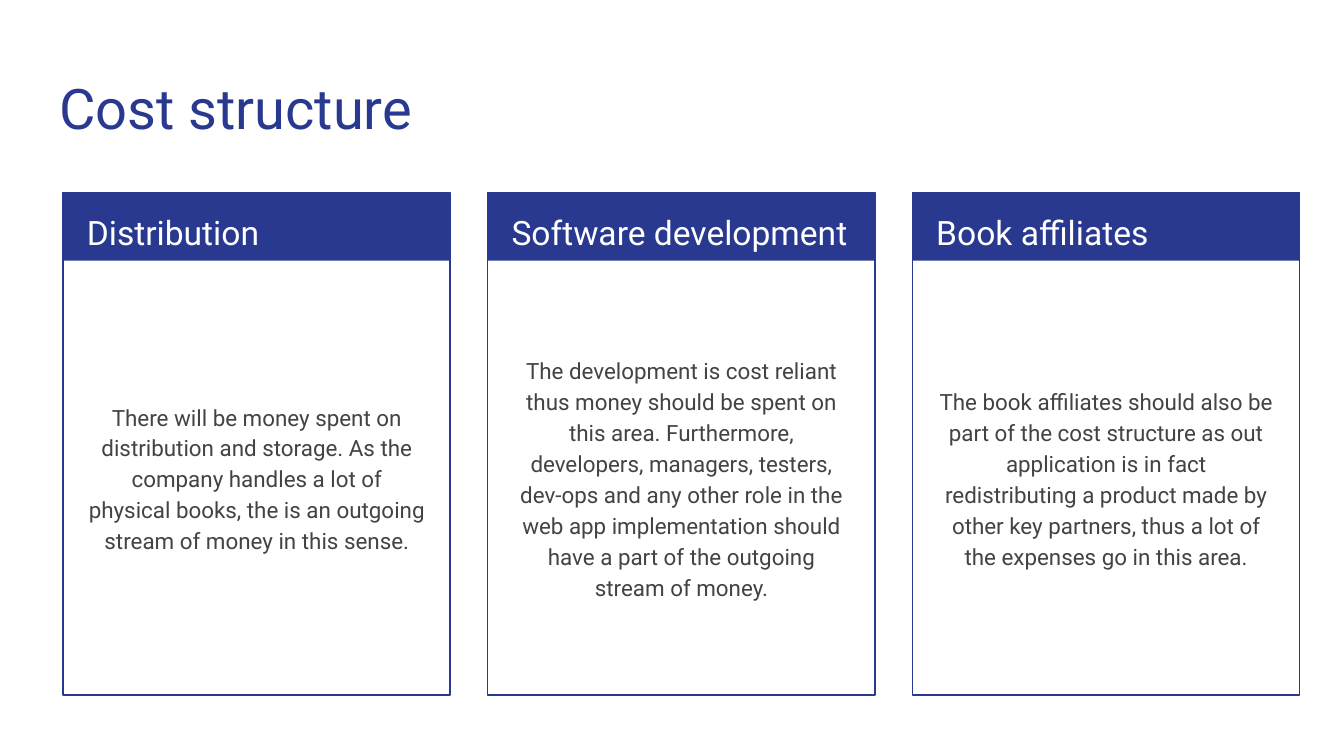
from pptx import Presentation
from pptx.dml.color import RGBColor
from pptx.enum.shapes import MSO_SHAPE as Shape
from pptx.enum.text import MSO_ANCHOR as Anchor, MSO_AUTO_SIZE as AutoSize, PP_ALIGN as Align
from pptx.util import Pt

NAVY, WHITE, GREY = "2A3990", "FFFFFF", "434343"
TITLE_ONLY = 5
FIRST_LEFT, TOP, PITCH = 33.8, 103, 227.5
CARD_WIDTH, CARD_HEIGHT, HEADER_HEIGHT = 207.4, 269.3, 36.7

CARDS = [
    ("Distribution",
     "There will be money spent on distribution and storage. As the company handles a lot of "
     "physical books, the is an outgoing stream of money in this sense."),
    ("Software development",
     "The development is cost reliant thus money should be spent on this area. Furthermore, "
     "developers, managers, testers, dev-ops and any other role in the web app implementation "
     "should have a part of the outgoing stream of money."),
    ("Book affiliates",
     "The book affiliates should also be part of the cost structure as out application is in "
     "fact redistributing a product made by other key partners, thus a lot of the expenses go "
     "in this area."),
]


def color(value):
    return RGBColor.from_string(value)


class SlideBuilder:
    font = "Roboto"
    inset = 7.2

    def __init__(self, slide):
        self.slide = slide
        slide.background.fill.solid()
        slide.background.fill.fore_color.rgb = color(WHITE)

    def fill_text(self, shape, text, size, ink, align=Align.LEFT, anchor=Anchor.TOP,
                  line_spacing=1.0, space_after=0):
        frame = shape.text_frame
        frame.word_wrap = True
        frame.auto_size = AutoSize.NONE
        frame.vertical_anchor = anchor
        frame.margin_left = frame.margin_right = Pt(self.inset)
        frame.margin_top = frame.margin_bottom = Pt(self.inset)
        paragraph = frame.paragraphs[0]
        paragraph.alignment = align
        paragraph.line_spacing = line_spacing
        paragraph.space_after = Pt(space_after)
        run = paragraph.add_run()
        run.text = text
        run.font.name = self.font
        run.font.size = Pt(size)
        run.font.color.rgb = color(ink)

    def title(self, text, left, top, width, height):
        shape = self.slide.shapes.title
        shape.left, shape.top = Pt(left), Pt(top)
        shape.width, shape.height = Pt(width), Pt(height)
        self.fill_text(shape, text, 30, NAVY)

    def text(self, text, left, top, width, height, size, ink, **style):
        shape = self.slide.shapes.add_textbox(Pt(left), Pt(top), Pt(width), Pt(height))
        self.fill_text(shape, text, size, ink, line_spacing=1.15, **style)

    def rectangle(self, group, left, top, width, height, fill=None, line=None):
        shape = group.shapes.add_shape(
            Shape.RECTANGLE, Pt(left), Pt(top), Pt(width), Pt(height))
        shape.shadow.inherit = False
        if fill:
            shape.fill.solid()
            shape.fill.fore_color.rgb = color(fill)
        else:
            shape.fill.background()
        if line:
            shape.line.color.rgb = color(line)
            shape.line.width = Pt(0.75)
        else:
            shape.line.fill.background()

    def card(self, heading, body, left):
        group = self.slide.shapes.add_group_shape()
        self.rectangle(group, left, TOP, CARD_WIDTH, HEADER_HEIGHT, fill=NAVY)
        self.rectangle(group, left, TOP, CARD_WIDTH, CARD_HEIGHT, line=NAVY)
        self.text(heading, left + 5.7, TOP, 196.6, 36, 18, WHITE)
        self.text(body, left + 6.3, TOP + 42.4, 195.1, 220.3, 12, GREY,
                  align=Align.CENTER, anchor=Anchor.MIDDLE, space_after=16)


def main():
    presentation = Presentation()
    presentation.slide_width, presentation.slide_height = Pt(720), Pt(405)
    slide = presentation.slides.add_slide(presentation.slide_layouts[TITLE_ONLY])
    builder = SlideBuilder(slide)
    builder.title("Cost structure", 24.5, 32.4, 671, 47.5)
    for index, (heading, body) in enumerate(CARDS):
        builder.card(heading, body, FIRST_LEFT + index * PITCH)
    presentation.save("out.pptx")


if __name__ == "__main__":
    main()
